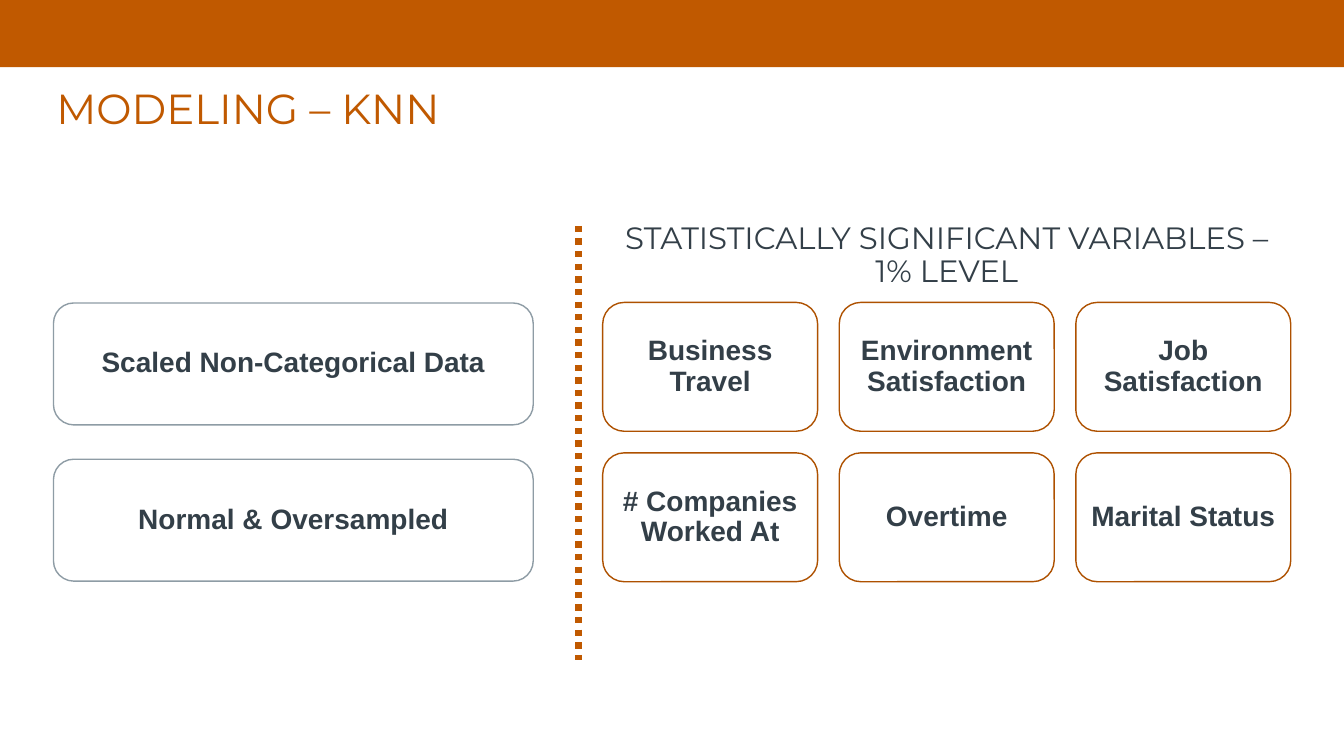
import pptx
import pptx.dml.color
import pptx.enum.dml
import pptx.enum.shapes
import pptx.enum.text
import pptx.util
import lxml.etree
import pptx.oxml.ns

Pt = pptx.util.Pt
RGBColor = pptx.dml.color.RGBColor
MSO_SHAPE = pptx.enum.shapes.MSO_SHAPE
MSO_ANCHOR = pptx.enum.text.MSO_ANCHOR

ORANGE = RGBColor(0xC0, 0x59, 0x00)
DARK_ORANGE = RGBColor(0xAE, 0x51, 0x00)
SLATE = RGBColor(0x33, 0x3F, 0x48)
GREY = RGBColor(0x8E, 0x9C, 0xA5)
WHITE = RGBColor(0xFF, 0xFF, 0xFF)

PREPARATION = ["Scaled Non-Categorical Data", "Normal & Oversampled"]
VARIABLES = ["Business Travel", "Environment Satisfaction", "Job Satisfaction",
             "# Companies Worked At", "Overtime", "Marital Status"]


def set_text(box, text, font, size, color, anchor, bold=False):
    """Write one centred paragraph into a shape and format it."""
    frame = box.text_frame
    frame.text = text
    frame.word_wrap = True
    frame.auto_size = pptx.enum.text.MSO_AUTO_SIZE.NONE
    frame.vertical_anchor = anchor
    paragraph = frame.paragraphs[0]
    paragraph.alignment = pptx.enum.text.PP_ALIGN.CENTER
    paragraph.line_spacing = 0.9
    for span in paragraph.runs:
        span.font.name = font
        span.font.size = Pt(size)
        span.font.bold = bold
        span.font.color.rgb = color


def add_banner(page, left, top, width, height):
    """Draw the plain band across the head of the slide."""
    banner = page.shapes.add_shape(MSO_SHAPE.RECTANGLE, Pt(left), Pt(top), Pt(width), Pt(height))
    banner.shadow.inherit = False
    banner.fill.solid()
    banner.fill.fore_color.rgb = ORANGE
    banner.line.fill.background()


def add_title(page, left, top, width, height):
    """Move and format the title placeholder."""
    title = page.shapes.title
    title.left, title.top, title.width, title.height = Pt(left), Pt(top), Pt(width), Pt(height)
    set_text(title, "MODELING – KNN ", "Montserrat", 30, ORANGE, MSO_ANCHOR.MIDDLE)


def add_card(page, label, outline, left, top, width, height):
    """Draw one rounded card with a bold label."""
    card = page.shapes.add_shape(
        MSO_SHAPE.ROUNDED_RECTANGLE, Pt(left), Pt(top), Pt(width), Pt(height))
    card.shadow.inherit = False
    card.fill.solid()
    card.fill.fore_color.rgb = WHITE
    card.line.color.rgb = outline
    card.line.width = Pt(1)
    set_text(card, label, "Arial", 20, SLATE, MSO_ANCHOR.MIDDLE, bold=True)
    frame = card.text_frame
    frame.margin_left = frame.margin_right = Pt(5.5)
    frame.margin_top = frame.margin_bottom = Pt(5.5)


def add_card_grid(page, labels, columns, outline, gap, left, top, width, height):
    """Fill a box with equal cards, row by row."""
    rows = len(labels) // columns
    card_width = (width - gap * (columns - 1)) / columns
    card_height = (height - gap * (rows - 1)) / rows
    for index, label in enumerate(labels):
        row, column = divmod(index, columns)
        add_card(page, label, outline,
                 left + column * (card_width + gap), top + row * (card_height + gap),
                 card_width, card_height)


def add_divider(page, left, top, height):
    """Draw the dotted vertical line between the two halves."""
    divider = page.shapes.add_connector(
        pptx.enum.shapes.MSO_CONNECTOR.STRAIGHT, Pt(left), Pt(top), Pt(left), Pt(top + height))
    divider.line.color.rgb = ORANGE
    divider.line.width = Pt(4.5)
    divider.line.dash_style = pptx.enum.dml.MSO_LINE.ROUND_DOT
    properties = divider.line._get_or_add_ln().getparent()
    lxml.etree.SubElement(properties, pptx.oxml.ns.qn("a:effectLst"))


def add_variables(page, left, top, width, height):
    """Place the variables heading and the grid of cards beneath it."""
    heading_inset, grid_offset = 3.5, 60.5
    heading = page.shapes.add_textbox(
        Pt(left + heading_inset), Pt(top), Pt(width - 2 * heading_inset), Pt(63.5))
    set_text(heading, "STATISTICALLY SIGNIFICANT VARIABLES – 1% LEVEL",
             "Montserrat", 22, SLATE, MSO_ANCHOR.TOP)
    add_card_grid(page, VARIABLES, 3, DARK_ORANGE, 15.4,
                  left, top + grid_offset, width, height - grid_offset)


def build_slide(deck):
    """Compose the slide from its regions."""
    page = deck.slides.add_slide(deck.slide_layouts[5])
    add_banner(page, 0, 0, 960, 48)
    add_variables(page, 430.5, 155.5, 491.5, 260)
    add_card_grid(page, PREPARATION, 1, GREY, 24.5, 38.2, 216.4, 342.7, 198.7)
    add_divider(page, 413.3, 161.3, 310.3)
    add_title(page, -99.4, 27.4, 561, 103.7)


deck = pptx.Presentation()
deck.slide_width, deck.slide_height = Pt(960), Pt(540)
build_slide(deck)
deck.save("out.pptx")
